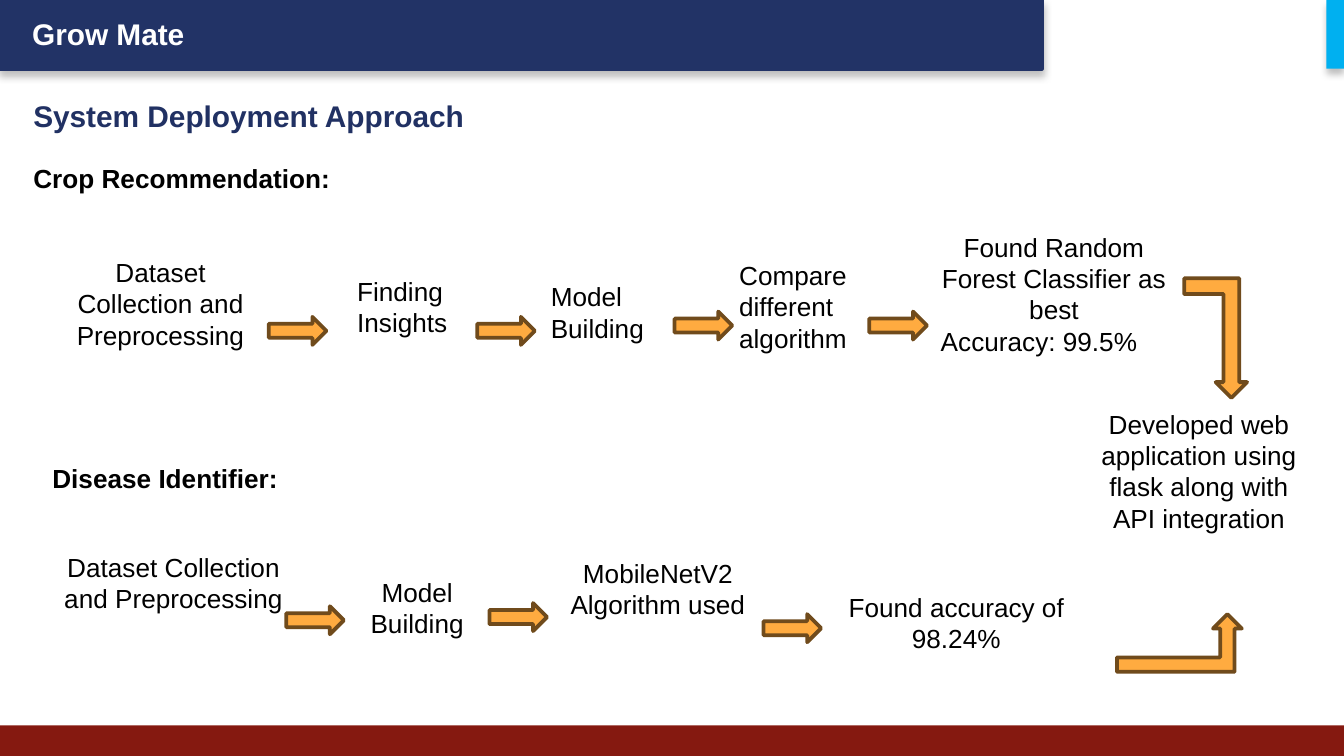
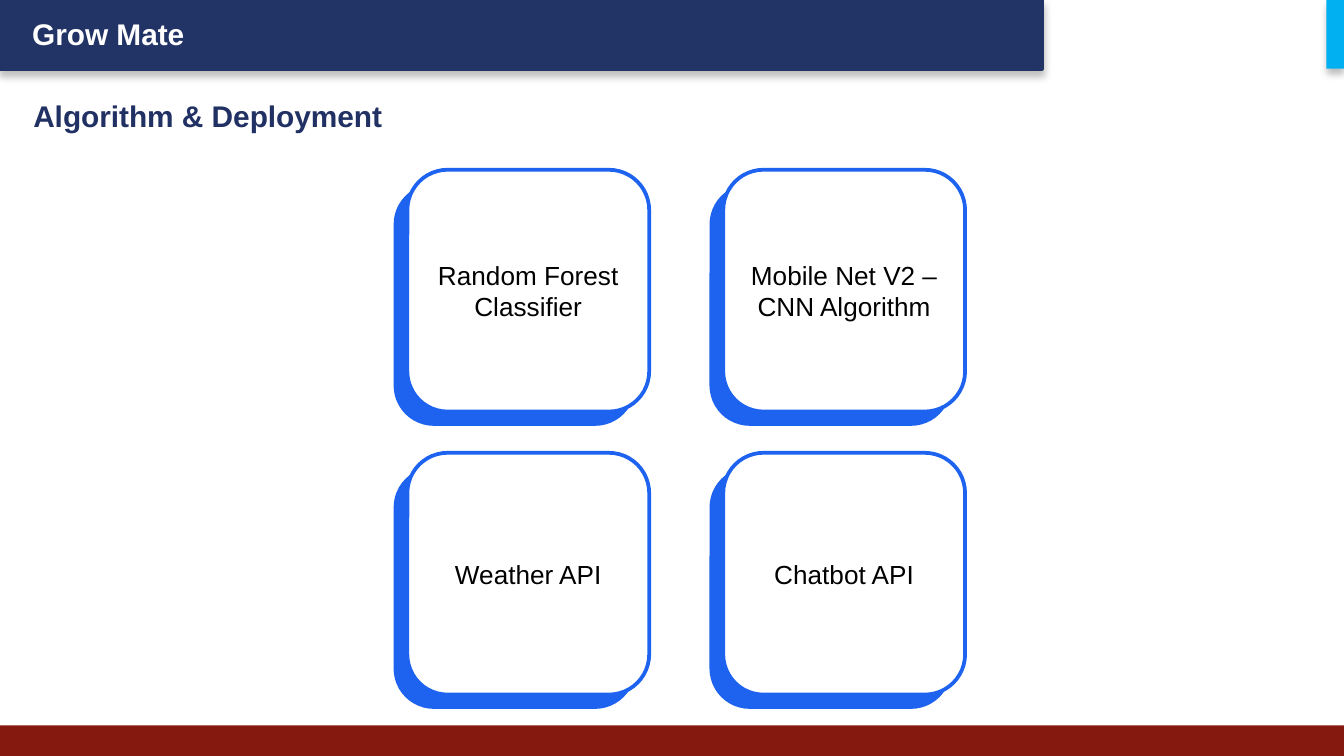
"""Build two Grow Mate slides: the deployment flow and the algorithm cards."""
import pptx
import pptx.dml.color
import pptx.enum.shapes
import pptx.enum.text
import pptx.oxml
import pptx.oxml.ns
import pptx.util
from pptx.dml.color import RGBColor
from pptx.util import Cm

NAVY = RGBColor(0x22, 0x33, 0x66)
HEADING = RGBColor(0x21, 0x31, 0x63)
MAROON = RGBColor(0x85, 0x19, 0x10)
CYAN = RGBColor(0x00, 0xB0, 0xF0)
ORANGE = RGBColor(0xFF, 0xAB, 0x40)
BROWN = RGBColor(0x70, 0x4B, 0x1C)
BLUE = RGBColor(0x1D, 0x63, 0xEF)
WHITE = RGBColor(0xFF, 0xFF, 0xFF)
BLACK = RGBColor(0x00, 0x00, 0x00)

SHAPE = pptx.enum.shapes.MSO_SHAPE
ALIGN = pptx.enum.text.PP_ALIGN
AUTO = pptx.enum.text.MSO_AUTO_SIZE
SHADOW = (
    f'<a:outerShdw {pptx.oxml.ns.nsdecls("a")} blurRad="50800" dist="38100" dir="5400000" '
    'algn="t" rotWithShape="0"><a:srgbClr val="000000"><a:alpha val="25000"/></a:srgbClr>'
    '</a:outerShdw>'
)


def add_box(s, kind, x, y, w, h, fill, line=None):
    sp = s.shapes.add_shape(kind, Cm(x), Cm(y), Cm(w), Cm(h))
    sp.shadow.inherit = False
    sp.fill.solid()
    sp.fill.fore_color.rgb = fill
    if line is None:
        sp.line.fill.background()
    else:
        sp.line.color.rgb = line
        sp.line.width = pptx.util.Pt(2)
    return sp


def write(sp, text, size=14, color=BLACK, bold=False, align=ALIGN.CENTER):
    tf = sp.text_frame
    tf.word_wrap = True
    tf.text = text
    for p in tf.paragraphs:
        p.alignment = align
        for r in p.runs:
            r.font.name = "Arial"
            r.font.size = pptx.util.Pt(size)
            r.font.bold = bold
            r.font.color.rgb = color
    return tf


prs = pptx.Presentation()
prs.slide_width = Cm(25.4)
prs.slide_height = Cm(14.29)

slides = []
for heading in ("System Deployment Approach", "Algorithm & Deployment"):
    s = prs.slides.add_slide(prs.slide_layouts[6])
    slides.append(s)
    band = add_box(s, SHAPE.RECTANGLE, 0, 0, 19.69, 1.3, NAVY, NAVY)
    add_box(s, SHAPE.RECTANGLE, 0, 13.71, 25.4, 0.58, MAROON)
    tab = add_box(s, SHAPE.RECTANGLE, 25.07, 0, 0.33, 1.3, CYAN)
    for sp in (band, tab):
        effects = sp._element.spPr.find(pptx.oxml.ns.qn("a:effectLst"))
        effects.append(pptx.oxml.parse_xml(SHADOW))
    sp = s.shapes.add_textbox(Cm(0.36), Cm(0.18), Cm(7.62), Cm(0.94))
    tf = write(sp, "Grow Mate", 16, WHITE, True, ALIGN.LEFT)
    tf.auto_size = AUTO.SHAPE_TO_FIT_TEXT
    sp = s.shapes.add_textbox(Cm(0.38), Cm(1.6), Cm(12.32), Cm(1.35))
    tf = write(sp, heading, 16, HEADING, True, ALIGN.LEFT)
    tf.margin_top = tf.margin_bottom = Cm(0.25)

flow, cards = slides

for x, y, w, text in (
    (0.38, 2.95, 12.32, "Crop Recommendation:"),
    (0.74, 8.61, 7.37, "Disease Identifier:"),
):
    sp = flow.shapes.add_textbox(Cm(x), Cm(y), Cm(w), Cm(0.86))
    tf = write(sp, text, bold=True, align=ALIGN.LEFT)
    tf.auto_size = AUTO.SHAPE_TO_FIT_TEXT
    if y < 5:
        tf.paragraphs[0].space_after = pptx.util.Pt(8)

for x, y, w, h, align, text in (
    (0.89, 4.72, 4.29, 2.57, ALIGN.CENTER, "Dataset Collection and Preprocessing"),
    (6.5, 5.08, 2.51, 1.8, ALIGN.LEFT, "Finding Insights"),
    (10.16, 5.18, 2.77, 1.45, ALIGN.LEFT, "Model Building"),
    (13.72, 4.78, 3.07, 2.57, ALIGN.LEFT, "Compare different algorithm"),
    (17.53, 4.24, 4.78, 3.33, ALIGN.CENTER,
     "Found Random Forest Classifier as best\nAccuracy: 99.5%"),
    (20.27, 7.59, 4.78, 4.11, ALIGN.CENTER,
     "Developed web application using flask along with API integration"),
    (0.74, 10.29, 5.08, 2.57, ALIGN.CENTER, "Dataset Collection and Preprocessing"),
    (6.5, 10.77, 2.77, 1.8, ALIGN.CENTER, "Model Building"),
    (10.44, 10.41, 3.99, 2.57, ALIGN.CENTER, "MobileNetV2 Algorithm used"),
    (15.75, 11.05, 4.65, 1.8, ALIGN.CENTER, "Found accuracy of 98.24%"),
):
    sp = flow.shapes.add_textbox(Cm(x), Cm(y), Cm(w), Cm(h))
    tf = write(sp, text, align=align)
    tf.auto_size = AUTO.SHAPE_TO_FIT_TEXT
    for p in tf.paragraphs[1:]:
        p.alignment = ALIGN.LEFT

for x, y in (
    (5.08, 5.99), (9.02, 5.99), (12.75, 5.89), (16.43, 5.89),
    (5.41, 11.46), (9.25, 11.4), (14.43, 11.61),
):
    add_box(flow, SHAPE.RIGHT_ARROW, x, y, 1.09, 0.53, ORANGE, BROWN)

down = add_box(flow, SHAPE.BENT_UP_ARROW, 22.38, 5.26, 1.19, 2.26, ORANGE, BROWN)
down.rotation = 180
down._element.spPr.get_or_add_xfrm().set("flipH", "1")
add_box(flow, SHAPE.BENT_UP_ARROW, 21.11, 11.61, 2.36, 1.09, ORANGE, BROWN)

for i, text in enumerate((
    "Random Forest Classifier", "Mobile Net V2 – CNN Algorithm", "Weather API", "Chatbot API",
)):
    row, col = divmod(i, 2)
    x, y = 7.44 + 5.97 * col, 3.48 + 5.35 * row
    add_box(cards, SHAPE.ROUNDED_RECTANGLE, x, y, 4.57, 4.57, BLUE)
    sp = add_box(cards, SHAPE.ROUNDED_RECTANGLE, x + 0.26, y - 0.27, 4.57, 4.57, WHITE, BLUE)
    tf = write(sp, text)
    tf.vertical_anchor = pptx.enum.text.MSO_ANCHOR.MIDDLE

prs.save("out.pptx")
